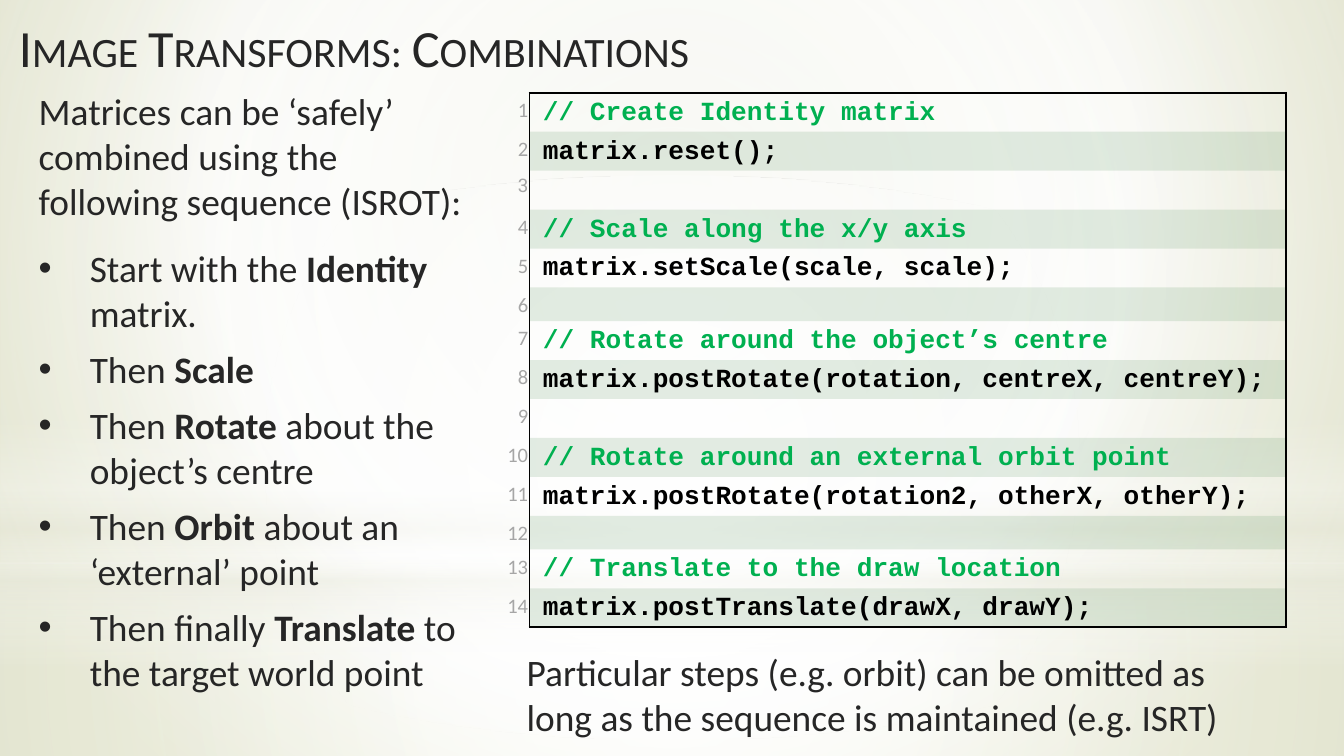
from lxml.etree import SubElement
from pptx import Presentation
from pptx.dml.color import RGBColor
from pptx.enum.shapes import MSO_SHAPE as Shape
from pptx.enum.text import MSO_ANCHOR as Anchor, MSO_AUTO_SIZE as AutoSize, PP_ALIGN as Align
from pptx.oxml.ns import qn
from pptx.util import Inches, Pt

INK, BLACK, COMMENT_GREEN, NUMBER_GREY, BAND_GREEN = "262626", "000000", "00B050", "A6A6A6", "72A376"
WHITE, CREAM = "FFFFFF", "EAEBDE"
NO_STYLE_TABLE = "{2D5ABB26-0587-4C30-8999-92F81FD0307C}"
CENTRE = (50, 50, 50, 50)

BACKDROP = [(0, "E3E5D1", 100), (60, WHITE, 100), (100, "CCD09F", 100)]
# preset, place, gradient stops (position, colour, opacity), focus (None runs downwards)
GLOWS = [
    (Shape.RECTANGLE, (0, 4.19, 10, 1.44),
     [(0, WHITE, 91), (37, WHITE, 76), (100, CREAM, 79)], CENTRE),
    (Shape.RECTANGLE, (0, 0, 10, 4.19),
     [(0, WHITE, 89), (48, WHITE, 62), (100, CREAM, 79)], CENTRE),
    (Shape.RECTANGLE, (0, 3.09, 10, 1.88),
     [(0, WHITE, 0), (29, WHITE, 30), (45, CREAM, 40), (55, WHITE, 26),
      (65, CREAM, 60), (100, WHITE, 0)], None),
    (Shape.OVAL, (0, 1.31, 10, 4.19), [(0, WHITE, 100), (56, WHITE, 0)], CENTRE),
]

INTRO = "Matrices can be ‘safely’ combined using the following sequence (ISROT):"
# text before, bold word, text after
STEPS = [
    ("Start with the ", "Identity", " matrix."),
    ("Then ", "Scale", ""),
    ("Then ", "Rotate", " about the object’s centre"),
    ("Then ", "Orbit", " about an ‘external’ point"),
    ("Then finally ", "Translate", " to the target world point"),
]
REMARK = ("Particular steps (e.g. orbit) can be omitted as long as the sequence "
          "is maintained (e.g. ISRT)")
CODE = """// Create Identity matrix
matrix.reset();

// Scale along the x/y axis
matrix.setScale(scale, scale);

// Rotate around the object’s centre
matrix.postRotate(rotation, centreX, centreY);

// Rotate around an external orbit point
matrix.postRotate(rotation2, otherX, otherY);

// Translate to the draw location
matrix.postTranslate(drawX, drawY);""".split("\n")
SHORT_ROWS = (6, 12)


def rgb(colour):
    return RGBColor.from_string(colour)


def apply(target, values):
    for name, value in values.items():
        setattr(target, name, value)


def box(left, top, width, height):
    return dict(zip(("left", "top", "width", "height"), map(Inches, (left, top, width, height))))


def add_run(paragraph, text, size=20, colour=INK, bold=False, name="Calibri"):
    run = paragraph.add_run()
    run.text = text
    apply(run.font, {"size": Pt(size), "bold": bold, "name": name})
    run.font.color.rgb = rgb(colour)
    return run


def add_colour(parent, colour, opacity):
    element = SubElement(parent, qn("a:srgbClr"), val=colour)
    if opacity < 100:
        SubElement(element, qn("a:alpha"), val=str(opacity * 1000))


def paint_gradient(fill, owner, stops, focus):
    """Fill with stops spreading from the focus insets, or downwards without focus."""
    fill.gradient()
    gradient = owner.find(".//" + qn("a:gradFill"))
    for child in list(gradient):
        gradient.remove(child)
    stop_list = SubElement(gradient, qn("a:gsLst"))
    for position, colour, opacity in stops:
        add_colour(SubElement(stop_list, qn("a:gs"), pos=str(position * 1000)), colour, opacity)
    if focus:
        spread = SubElement(gradient, qn("a:path"), path="circle")
        SubElement(spread, qn("a:fillToRect"),
                   {side: str(inset * 1000) for side, inset in zip("ltrb", focus)})
    else:
        SubElement(gradient, qn("a:lin"), ang="5400000", scaled="0")


def add_glow(slide, preset, place, stops, focus):
    glow = slide.shapes.add_shape(preset, *map(Inches, place))
    glow.shadow.inherit = False
    glow.line.fill.background()
    paint_gradient(glow.fill, glow._element, stops, focus)


def set_title(slide, text):
    title = slide.shapes.title
    slide.shapes._spTree.append(title._element)  # in front of the glows
    apply(title, box(0.04, 0.06, 6.77, 0.63))
    apply(title.text_frame, {"vertical_anchor": Anchor.TOP, "word_wrap": True,
                             "auto_size": AutoSize.NONE})
    heading = title.text_frame.paragraphs[0]
    apply(heading, {"alignment": Align.LEFT, "space_before": Pt(0)})
    run = add_run(heading, text, size=28)
    run.font._element.set("cap", "small")


def add_text(slide, place, text):
    frame = slide.shapes.add_textbox(*map(Inches, place)).text_frame
    apply(frame, {"word_wrap": True, "auto_size": AutoSize.SHAPE_TO_FIT_TEXT})
    add_run(frame.paragraphs[0], text)
    return frame


def add_step(frame, before, key, after):
    step = frame.add_paragraph()
    step.space_after = Pt(6)
    properties = step._p.get_or_add_pPr()
    properties.set("marL", str(Inches(0.38)))
    properties.set("indent", str(-Inches(0.38)))
    SubElement(properties, qn("a:buFont"), typeface="Arial")
    SubElement(properties, qn("a:buChar"), char="•")
    for text, bold in ((before, False), (key, True), (after, False)):
        if text:
            add_run(step, text, bold=bold)


def add_border(cell, sides):
    properties = cell._tc.get_or_add_tcPr()
    for position, side in enumerate(side for side in "LRTB" if side in sides):
        line = SubElement(properties, qn("a:ln" + side), w=str(Pt(1)))
        SubElement(SubElement(line, qn("a:solidFill")), qn("a:srgbClr"), val=BLACK)
        properties.insert(position, line)


def prepare_cell(cell):
    """Clear the cell's fill, tighten its margins and return its paragraph."""
    margins = ("margin_left", "margin_right", "margin_top", "margin_bottom")
    apply(cell, dict.fromkeys(margins, Inches(0.01)))
    cell.fill.background()
    paragraph = cell.text_frame.paragraphs[0]
    paragraph.line_spacing = 1.15
    return paragraph


def fill_number_cell(cell, number):
    paragraph = prepare_cell(cell)
    paragraph.alignment = Align.RIGHT
    size, name = (10, "Roboto") if number == 3 else (11, "Calibri")
    add_run(paragraph, str(number), size, NUMBER_GREY, name=name)


def fill_code_cell(cell, number, code):
    paragraph = prepare_cell(cell)
    paragraph._p.get_or_add_pPr().set("marL", str(Inches(0.09)))
    if code:
        colour = COMMENT_GREEN if code.startswith("//") else BLACK
        add_run(paragraph, code, 14, colour, True, "Courier New")
    else:
        paragraph._p.get_or_add_endParaRPr().set("sz", "1000")
    if number % 2 == 0:
        cell.fill.solid()
        cell.fill.fore_color.rgb = rgb(BAND_GREEN)
        tint = cell._tc.tcPr.find(".//" + qn("a:srgbClr"))
        SubElement(tint, qn("a:alpha"), val="20000")
    add_border(cell, "LR" + "T" * (number == 1) + "B" * (number == len(CODE)))


def add_listing(slide):
    frame = slide.shapes.add_table(len(CODE), 2, *map(Inches, (3.43, 0.69, 6.14, 3.98)))
    listing = frame.table
    apply(listing, {"first_row": False, "horz_banding": False})
    listing._tbl.tblPr.find(qn("a:tableStyleId")).text = NO_STYLE_TABLE
    for column, width in zip(listing.columns, (0.51, 5.63)):
        column.width = Inches(width)
    for number, code in enumerate(CODE, 1):
        row = listing.rows[number - 1]
        row.height = Inches(0.25 if number in SHORT_ROWS else 0.29)
        fill_number_cell(row.cells[0], number)
        fill_code_cell(row.cells[1], number, code)


def main():
    deck = Presentation()
    apply(deck, {"slide_width": Inches(10), "slide_height": Inches(10) * 9 // 16})
    slide = deck.slides.add_slide(deck.slide_layouts[5])
    paint_gradient(slide.background.fill, slide._element, BACKDROP, (20, 10, 20, 60))
    for glow in GLOWS:
        add_glow(slide, *glow)
    set_title(slide, "Image Transforms: Combinations")
    sequence = add_text(slide, (0.19, 0.61, 3.4, 5.07), INTRO)
    sequence.paragraphs[0].space_after = Pt(12)
    for step in STEPS:
        add_step(sequence, *step)
    add_listing(slide)
    add_text(slide, (3.82, 4.78, 5.43, 1.11), REMARK)
    deck.save("out.pptx")


if __name__ == "__main__":
    main()
